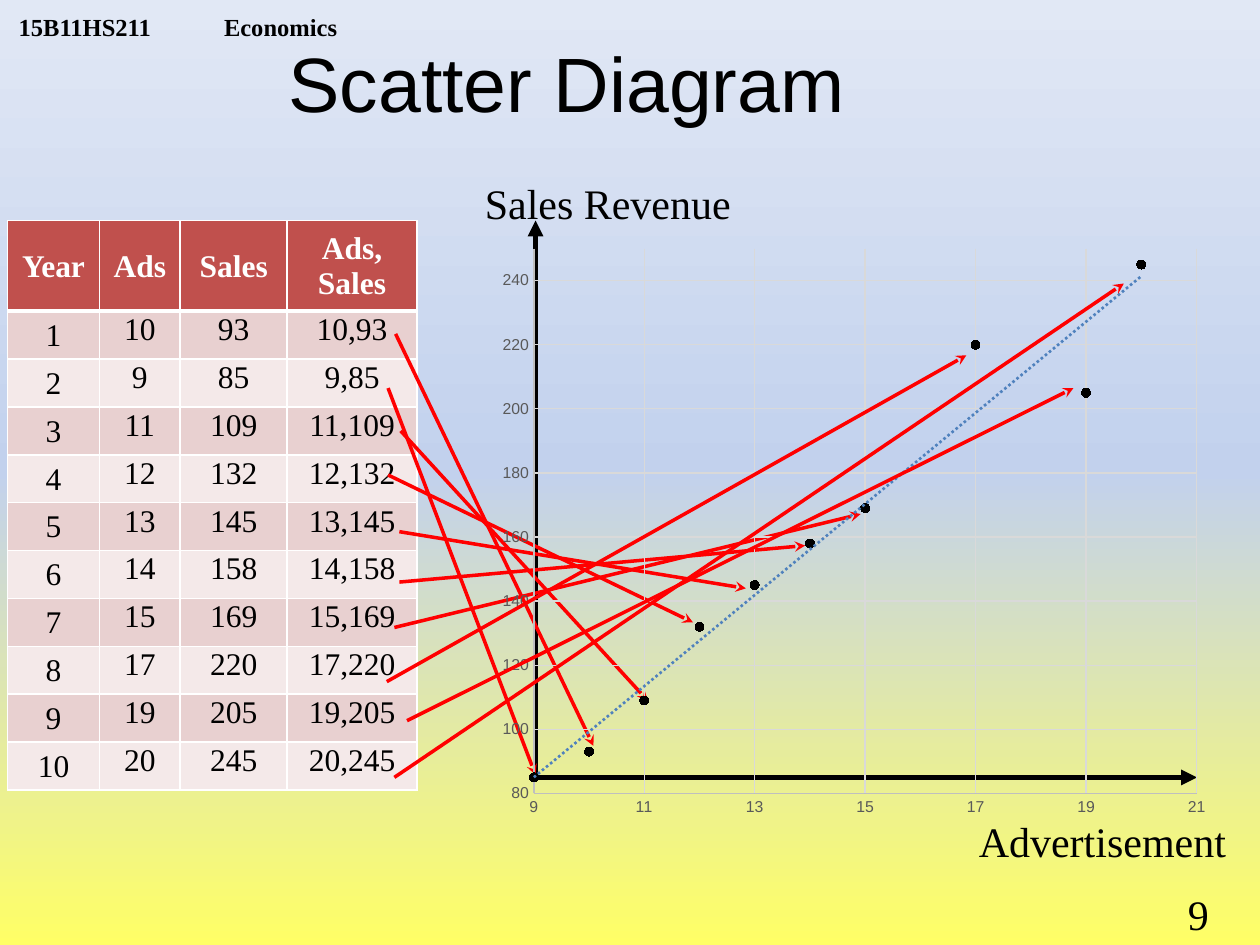
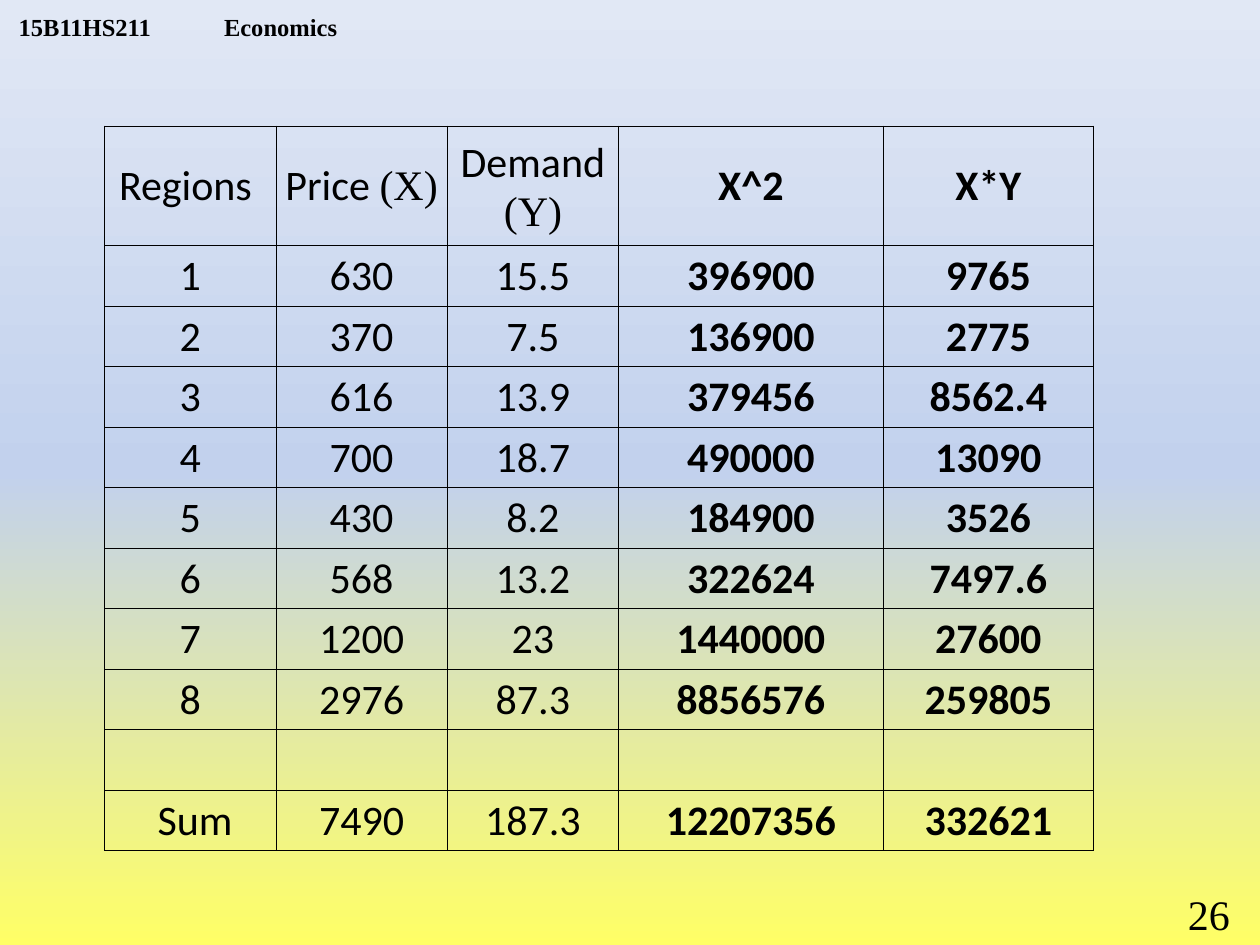
import copy

import pptx
import pptx.chart.data
import pptx.dml.color
import pptx.enum.chart
import pptx.enum.shapes
import pptx.enum.text
import pptx.oxml
import pptx.oxml.ns
import pptx.util

Inches, Pt = pptx.util.Inches, pptx.util.Pt
MIDDLE = pptx.enum.text.MSO_ANCHOR.MIDDLE
TOP = pptx.enum.text.MSO_ANCHOR.TOP
BOTTOM = pptx.enum.text.MSO_ANCHOR.BOTTOM
CENTER = pptx.enum.text.PP_ALIGN.CENTER
rgb = pptx.dml.color.RGBColor.from_string
qn = pptx.oxml.ns.qn
NS = pptx.oxml.ns.nsdecls("a")

BLACK, WHITE, RED = "000000", "FFFFFF", "FF0000"
HEAD_FILL, BAND_FILLS = "C0504D", ("F4E9E9", "E8D0D0")
SERIF, SANS, BODY = "Times New Roman", "Arial", "Calibri"


def add_arrow(s, start, end, color, width, head):
    line = s.shapes.add_connector(
        pptx.enum.shapes.MSO_CONNECTOR.STRAIGHT,
        *[Inches(v) for v in start + end])
    line.line.color.rgb = rgb(color)
    line.line.width = Pt(width)
    line.line._get_or_add_ln().append(
        pptx.oxml.parse_xml(f'<a:tailEnd {NS} type="{head}"/>'))
    line._element.spPr.append(pptx.oxml.parse_xml(f"<a:effectLst {NS}/>"))


def fill_cell(cell, runs, size, color, bold, anchor, fill, edge, widths):
    """runs: (text, font) pairs; widths: border points for L, R, T, B."""
    cell.margin_left = cell.margin_right = cell.margin_top = Inches(0.01)
    cell.margin_bottom = 0
    cell.vertical_anchor = anchor
    tcPr = cell._tc.get_or_add_tcPr()
    for side, width in zip("LRTB", widths):
        tcPr.append(pptx.oxml.parse_xml(
            f'<a:ln{side} {NS} w="{Pt(width)}"><a:solidFill>'
            f'<a:srgbClr val="{edge}"/></a:solidFill></a:ln{side}>'))
    if fill:
        cell.fill.solid()
        cell.fill.fore_color.rgb = rgb(fill)
    else:
        cell.fill.background()
    p = cell.text_frame.paragraphs[0]
    p.alignment = CENTER
    for text, font in runs:
        r = p.add_run()
        r.text = text
        r.font.name, r.font.size, r.font.bold = font, Pt(size), bold
        r.font.color.rgb = rgb(color)


prs = pptx.Presentation()
prs.slide_width, prs.slide_height = Inches(10), Inches(7.5)

# Shared background: three-stop gradient, yellow at the bottom
bg = prs.slide_master.background.fill
bg.gradient()
bg.gradient_angle = 90
stops = prs.slide_master.element.find(".//" + qn("p:bg")).find(".//" + qn("a:gsLst"))
stops.insert(1, copy.deepcopy(stops[0]))
for stop, (pos, color) in zip(bg.gradient_stops,
                              ((0, "FFFF66"), (0.5, "C2D1ED"), (1, "E1E8F5"))):
    stop.position = pos
    stop.color.rgb = rgb(color)

scatter = prs.slides.add_slide(prs.slide_layouts[5])
regions = prs.slides.add_slide(prs.slide_layouts[6])

# Course header, page numbers and axis names
header = ((0.05, 0, 3.2, 0.33), "15B11HS211\tEconomics", 14, True)
page_box = (9.33, 7, 0.67, 0.5)
labels = [
    (scatter, *header),
    (scatter, page_box, "9", 24, False),
    (scatter, (7.67, 6.42, 2.17, 0.5), "Advertisement", 24, False),
    (scatter, (3.75, 1.36, 2.17, 0.5), "Sales Revenue", 24, False),
    (regions, *header),
    (regions, page_box, "26", 24, False),
]
for s, box, text, size, is_header in labels:
    tf = s.shapes.add_textbox(*[Inches(v) for v in box]).text_frame
    tf.word_wrap = True
    p = tf.paragraphs[0]
    if is_header:
        tf.vertical_anchor = BOTTOM
        tf.margin_top = tf.margin_bottom = 0
        p._p.get_or_add_pPr().append(pptx.oxml.parse_xml(
            f'<a:tabLst {NS}><a:tab pos="{Inches(1.63)}" algn="l"/></a:tabLst>'))
    r = p.add_run()
    r.text = text
    r.font.name, r.font.size, r.font.bold = SERIF, Pt(size), is_header
    r.font.color.rgb = rgb(BLACK)

# Slide 1: title
s = scatter
title = s.shapes.title
title.left, title.top, title.width, title.height = [
    Inches(v) for v in (0, 0.02, 9, 1.25)]
tf = title.text_frame
tf.vertical_anchor = MIDDLE
p = tf.paragraphs[0]
p.alignment = CENTER
r = p.add_run()
r.text = "Scatter Diagram"
r.font.name, r.font.size = SANS, Pt(44)
r.font.color.rgb = rgb(BLACK)

# Slide 1: yearly advertising and sales
ads = [10, 9, 11, 12, 13, 14, 15, 17, 19, 20]
sales = [93, 85, 109, 132, 145, 158, 169, 220, 205, 245]
rows = [("Year", "Ads", "Sales", "Ads, Sales")]
rows += [(str(year), str(x), str(y), f"{x},{y}")
         for year, (x, y) in enumerate(zip(ads, sales), 1)]
table = s.shapes.add_table(len(rows), 4, Inches(0.06), Inches(1.75),
                           Inches(3.25), Inches(4.48)).table
for col, width in zip(table.columns, (0.73, 0.64, 0.85, 1.03)):
    col.width = Inches(width)
for i, row in enumerate(rows):
    head = i == 0
    table.rows[i].height = Inches(0.72 if head else 0.38)
    for j, text in enumerate(row):
        fill_cell(table.cell(i, j), [(text, SERIF)], 18,
                  WHITE if head else BLACK, head,
                  MIDDLE if head or j == 0 else TOP,
                  HEAD_FILL if head else BAND_FILLS[i % 2], WHITE,
                  (1, 1, 3 if i == 1 else 1, 3 if head else 1))

# Slide 1: axis arrows
add_arrow(s, (4.25, 6.18), (4.25, 1.75), BLACK, 3, "triangle")
add_arrow(s, (4.25, 6.17), (9.5, 6.17), BLACK, 3, "triangle")

# Slide 1: arrows from table rows to points; the last three lie over the chart
row_arrows = [
    ((3.14, 2.65), (4.71, 5.92)),
    ((3.08, 3.08), (4.25, 6.15)),
    ((3.18, 3.42), (5.14, 5.56)),
    ((3.08, 3.77), (5.5, 4.94)),
    ((3.17, 4.22), (5.92, 4.67)),
    ((3.17, 4.62), (6.39, 4.33)),
    ((3.13, 4.98), (6.83, 4.08)),
    ((3.07, 5.41), (7.67, 2.82)),
    ((3.23, 5.72), (8.52, 3.08)),
    ((3.13, 6.17), (8.92, 2.25)),
]
for start, end in row_arrows[:7]:
    add_arrow(s, start, end, RED, 2, "stealth")

# Slide 1: scatter chart
data = pptx.chart.data.XyChartData()
points = data.add_series("Series 1")
for x, y in zip(ads, sales):
    points.add_data_point(x, y)
chart = s.shapes.add_chart(
    pptx.enum.chart.XL_CHART_TYPE.XY_SCATTER, Inches(3.89), Inches(1.88),
    Inches(5.78), Inches(4.7), data).chart
chart.has_legend = chart.has_title = False
chart.font.name, chart.font.size = SANS, Pt(10)
chart.font.color.rgb = rgb(BLACK)
for axis, low, high, step in ((chart.category_axis, 9, 21, 2),
                              (chart.value_axis, 80, 250, 20)):
    axis.minimum_scale, axis.maximum_scale, axis.major_unit = low, high, step
    axis.major_tick_mark = axis.minor_tick_mark = pptx.enum.chart.XL_TICK_MARK.NONE
    axis.has_major_gridlines = True
    for line, color in ((axis.format.line, "BFBFBF"),
                        (axis.major_gridlines.format.line, "D9D9D9")):
        line.color.rgb = rgb(color)
        line.width = Pt(0.75)
    font = axis.tick_labels.font
    font.name, font.size = SANS, Pt(9)
    font.color.rgb = rgb("595959")

plot = chart.plots[0]
plot.vary_by_categories = False
series = plot.series[0]
series.smooth = False
series.format.line.fill.background()
marker = series.marker
marker.style, marker.size = pptx.enum.chart.XL_MARKER_STYLE.CIRCLE, 5
marker.format.fill.solid()
marker.format.fill.fore_color.rgb = rgb(BLACK)
marker.format.line.color.rgb = rgb(BLACK)

# Trend line and plot area layout
CHART_NS = pptx.oxml.ns.nsdecls("c", "a")
series._element.find(qn("c:xVal")).addprevious(pptx.oxml.parse_xml(
    f'<c:trendline {CHART_NS}><c:spPr><a:ln w="{Pt(1.5)}"><a:solidFill>'
    '<a:srgbClr val="4F81BD"/></a:solidFill><a:prstDash val="sysDot"/></a:ln>'
    '</c:spPr><c:trendlineType val="linear"/><c:dispRSqr val="0"/>'
    '<c:dispEq val="0"/></c:trendline>'))
plot_area = chart._chartSpace.find(".//" + qn("c:plotArea"))
old_layout = plot_area.find(qn("c:layout"))
if old_layout is not None:
    plot_area.remove(old_layout)
sizes = "".join(f'<c:{k} val="{v}"/>' for k, v in
                (("x", 0.06), ("y", 0.02), ("w", 0.91), ("h", 0.92)))
plot_area.insert(0, pptx.oxml.parse_xml(
    f'<c:layout {CHART_NS}><c:manualLayout><c:layoutTarget val="inner"/>'
    '<c:xMode val="edge"/><c:yMode val="edge"/>'
    f'{sizes}</c:manualLayout></c:layout>'))

for start, end in row_arrows[7:]:
    add_arrow(s, start, end, RED, 2, "stealth")

# Slide 2: price and demand by region, with squares, products and sums
s = regions
price = [630, 370, 616, 700, 430, 568, 1200, 2976]
demand = [15.5, 7.5, 13.9, 18.7, 8.2, 13.2, 23, 87.3]
squares = [x * x for x in price]
products = [x * y for x, y in zip(price, demand)]
rows = [[[("Regions ", BODY)], [("Price ", BODY), ("(X)", SERIF)],
         [("Demand ", BODY), ("(Y)", SERIF)], [("X^2", BODY)], [("X*Y", BODY)]]]
numbers = list(zip(range(1, 9), price, demand, squares, products))
sums = (" Sum", sum(price), sum(demand), sum(squares), sum(products))
for row in numbers + [None, sums]:
    rows.append([[(f"{v:g}" if isinstance(v, float) else str(v), BODY)]
                 for v in row] if row else [[]] * 5)
table = s.shapes.add_table(len(rows), 5, Inches(0.83), Inches(1),
                           Inches(7.83), Inches(5.75)).table
for col, width in zip(table.columns, (1.36, 1.36, 1.36, 2.1, 1.67)):
    col.width = Inches(width)
for i, row in enumerate(rows):
    table.rows[i].height = Inches(0.48 if i else 0.95)
    for j, runs in enumerate(row):
        fill_cell(table.cell(i, j), runs, 24, BLACK, j > 2, MIDDLE,
                  None, BLACK, (0.5,) * 4)

prs.save("out.pptx")
